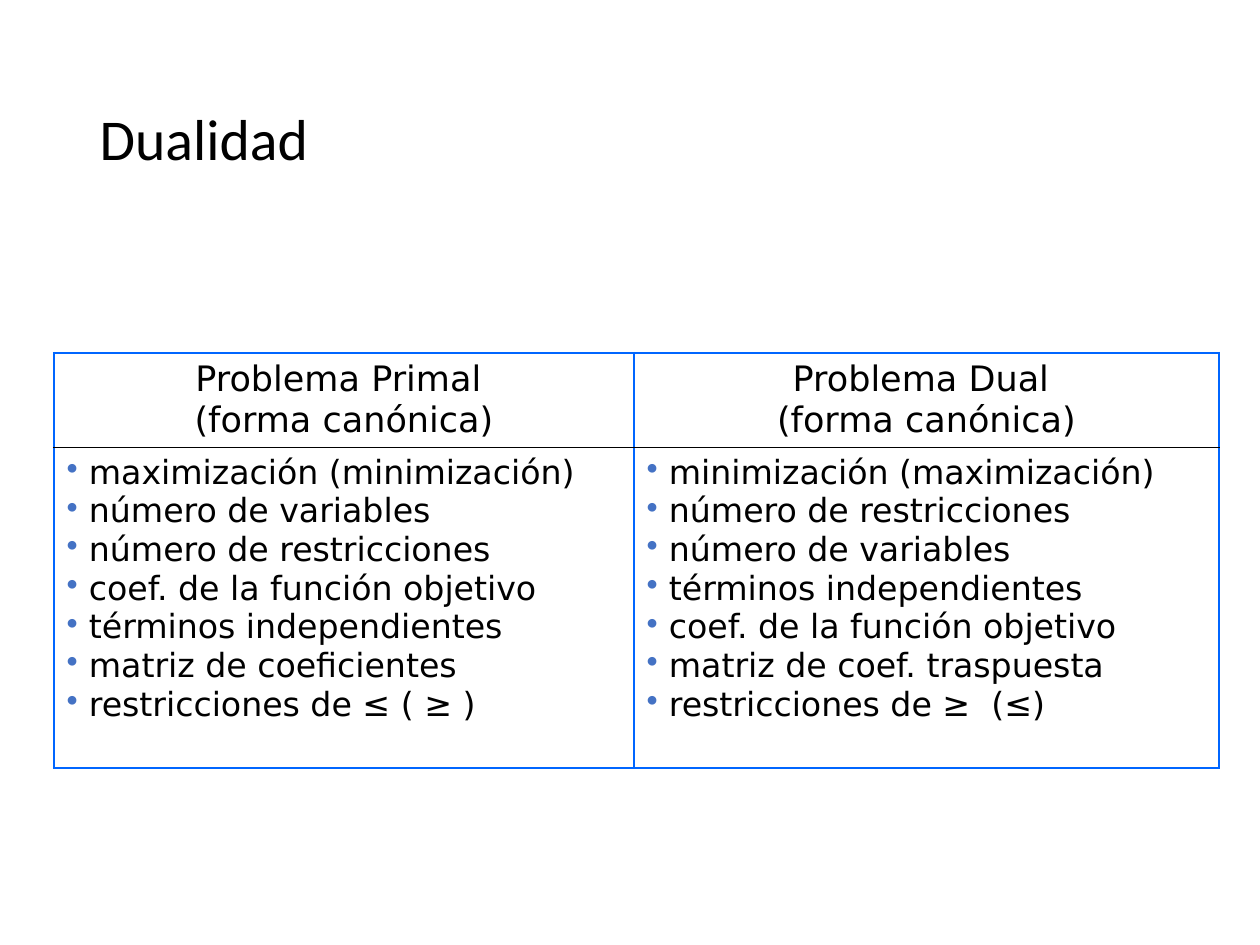
from pptx import Presentation
from pptx.dml.color import RGBColor
from pptx.enum.text import MSO_ANCHOR as Anchor, PP_ALIGN as Align
from pptx.oxml import parse_xml
from pptx.oxml.ns import nsdecls
from pptx.util import Pt

SCALE = 914400 / 126
BLACK, BLUE, DOT = "000000", "0066FF", "4472C4"
THICK, THIN, HAIR = (BLUE, 1.5), (BLUE, 1), (BLACK, 0.5)

HEADS = [
    ["Problema Primal ", "(forma canónica)"],
    ["Problema Dual ", "(forma canónica)"],
]
ITEMS = [
    ["maximización (minimización)", "número de variables",
     "número de restricciones", "coef. de la función objetivo",
     "términos independientes", "matriz de coeficientes",
     "restricciones de ≤ ( ≥ )"],
    ["minimización (maximización)", "número de restricciones",
     "número de variables", "términos independientes",
     "coef. de la función objetivo", "matriz de coef. traspuesta",
     "restricciones de ≥  (≤)"],
]


def px(n):
    return round(n * SCALE)


def color(code):
    return RGBColor.from_string(code)


class Deck:
    def __init__(self, wide, high):
        self.prs = Presentation()
        self.prs.slide_width, self.prs.slide_height = px(wide), px(high)
        self.slide = self.prs.slides.add_slide(self.prs.slide_layouts[5])

    def add_text(self, para, text, size, face):
        run = para.add_run()
        run.text = text
        run.font.size = Pt(size)
        run.font.name = face
        run.font.color.rgb = color(BLACK)

    def title(self, text, left, top, wide, high):
        box = self.slide.shapes.title
        box.left, box.top, box.width, box.height = map(px, (left, top, wide, high))
        box.text_frame.vertical_anchor = Anchor.MIDDLE
        para = box.text_frame.paragraphs[0]
        para.alignment = Align.LEFT
        para.line_spacing = 0.9
        self.add_text(para, text, 33, "Calibri")

    def table(self, left, top, cols, rows):
        frame = self.slide.shapes.add_table(
            len(rows), len(cols), px(left), px(top), px(sum(cols)), px(sum(rows)))
        grid = frame.table
        grid.first_row = grid.horz_banding = False
        for col, wide in zip(grid.columns, cols):
            col.width = px(wide)
        for row, high in zip(grid.rows, rows):
            row.height = px(high)
        return grid

    def border(self, cell, **sides):
        """Draw sides L, R, T, B (in that order), each a (colour, points) pair."""
        props = cell._tc.get_or_add_tcPr()
        for side, (code, width) in sides.items():
            props.append(parse_xml(
                f'<a:ln{side} {nsdecls("a")} w="{int(Pt(width))}"><a:solidFill>'
                f'<a:srgbClr val="{code}"/></a:solidFill></a:ln{side}>'))
        cell.fill.background()

    def bullet(self, para):
        props = para._p.get_or_add_pPr()
        props.set("marL", "0")
        props.set("indent", "0")
        for part in (f'<a:buClr {nsdecls("a")}><a:srgbClr val="{DOT}"/></a:buClr>',
                     f'<a:buChar {nsdecls("a")} char="•"/>'):
            props.append(parse_xml(part))

    def fill(self, cell, lines, size, listed):
        frame = cell.text_frame
        for i, line in enumerate(lines):
            para = frame.add_paragraph() if i else frame.paragraphs[0]
            if listed:
                self.bullet(para)
                line = " " + line
            else:
                para.alignment = Align.CENTER
            self.add_text(para, line, size, "DejaVu Sans")


def main():
    deck = Deck(1260, 945)
    deck.title("Dualidad", 87, 50, 1086, 183)
    grid = deck.table(54, 353, cols=[580, 585], rows=[94, 321])
    for c in range(2):
        left, right = (THICK, THIN) if c == 0 else (THIN, THICK)
        head, body = grid.cell(0, c), grid.cell(1, c)
        deck.border(head, L=left, R=right, T=THICK, B=HAIR)
        deck.border(body, L=left, R=right, T=HAIR, B=THICK)
        deck.fill(head, HEADS[c], 20, listed=False)
        deck.fill(body, ITEMS[c], 19, listed=True)
    deck.prs.save("out.pptx")


if __name__ == "__main__":
    main()
